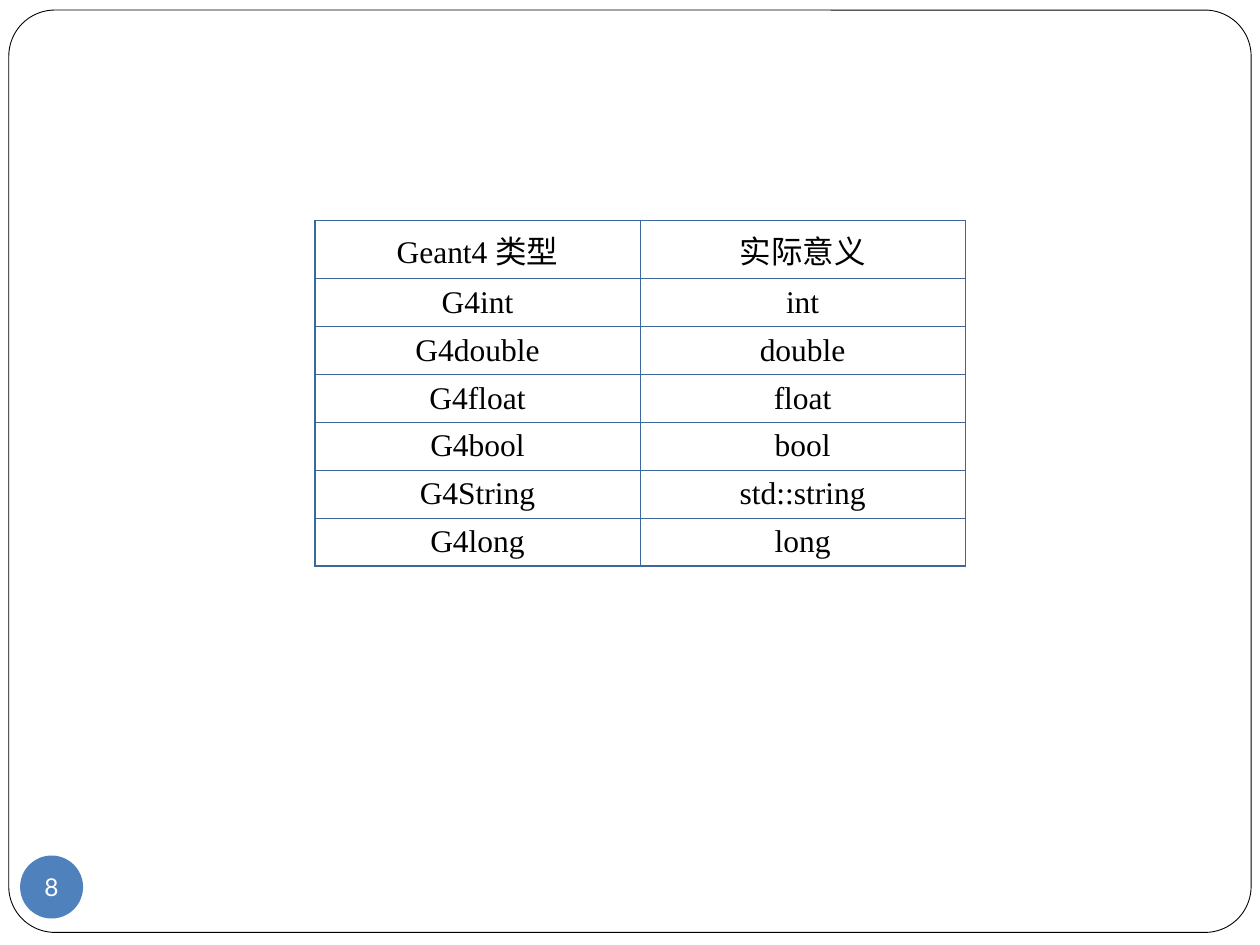
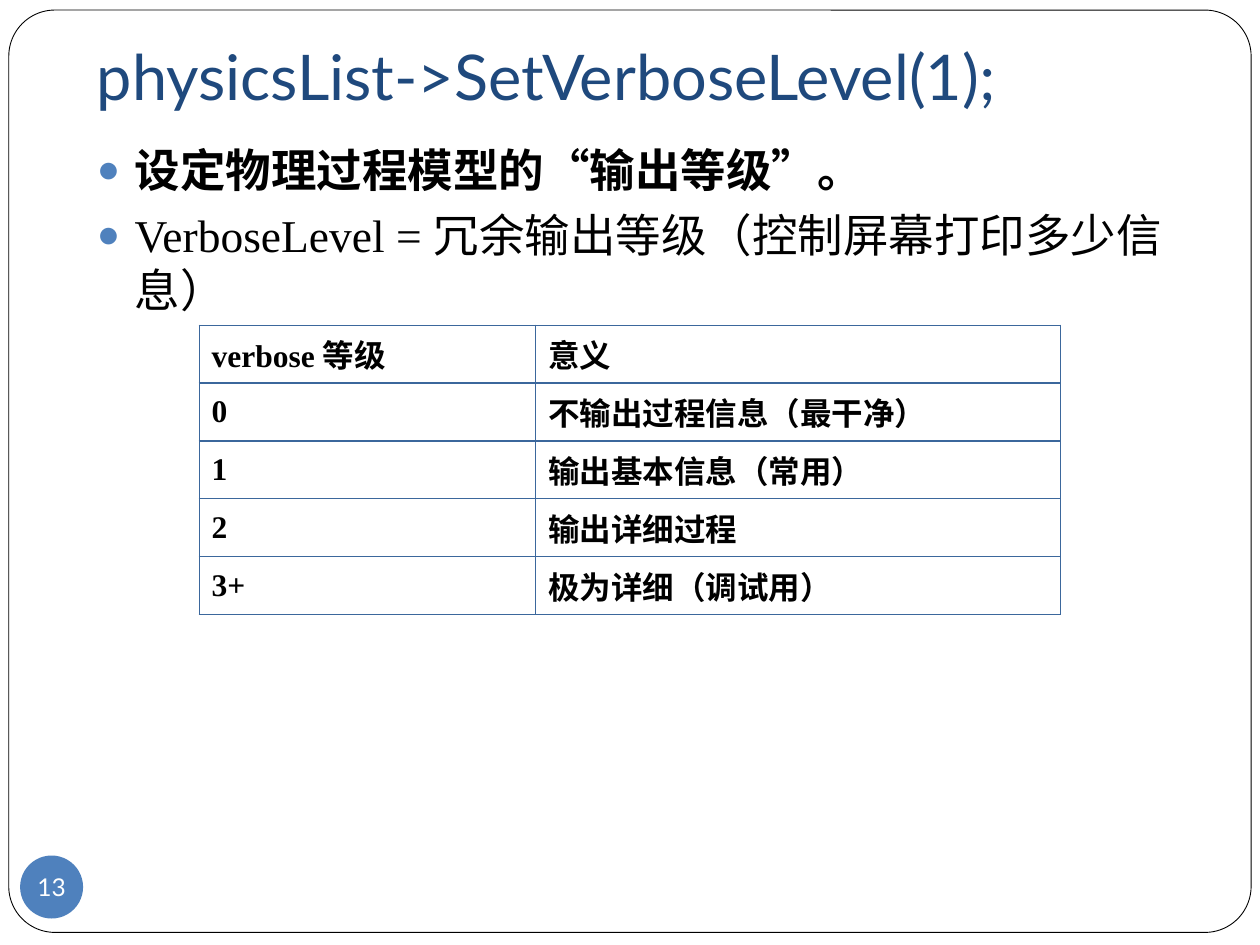
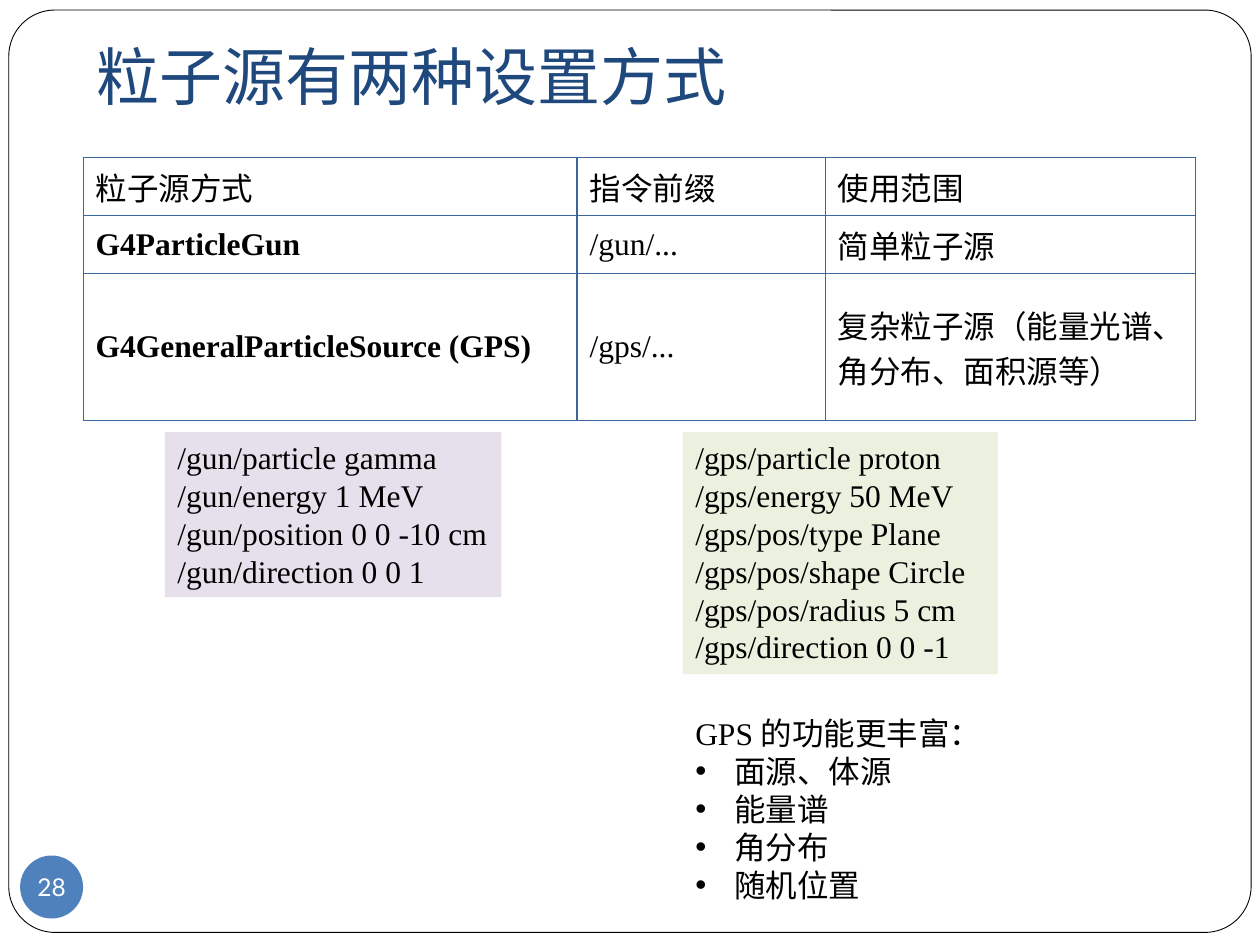
from lxml.etree import SubElement
from pptx import Presentation
from pptx.dml.color import RGBColor
from pptx.enum.shapes import MSO_SHAPE as SHAPE
from pptx.enum.text import MSO_ANCHOR as ANCHOR, PP_ALIGN as ALIGN
from pptx.oxml.ns import qn
from pptx.util import Inches, Pt

# Shared style
BLACK, WHITE = "000000", "FFFFFF"
TITLE_BLUE, ACCENT_BLUE, GRID_BLUE = "1F497D", "4F81BD", "3B679C"
LILAC, PALE_GREEN = "E6E0EC", "EBF1DE"
HEAD_FONT, TEXT_FONT = "Lato", "Times New Roman"
TEXT_SIZE = 18


def color(value):
    return RGBColor.from_string(value)


def style(para, size=TEXT_SIZE, name=TEXT_FONT, hue=BLACK, bold=False):
    font = para.font
    font.size, font.name, font.bold = Pt(size), name, bold
    font.color.rgb = color(hue)


def add_bullet(para, char, indent, hue=BLACK, percent=100):
    props = para._p.get_or_add_pPr()
    props.set("marL", str(Inches(indent)))
    props.set("indent", str(-Inches(indent)))
    tint = SubElement(props, qn("a:buClr"))
    SubElement(tint, qn("a:srgbClr"), val=hue)
    SubElement(props, qn("a:buSzPct"), val=str(percent * 1000))
    SubElement(props, qn("a:buFont"), typeface="Arial")
    SubElement(props, qn("a:buChar"), char=char)


def add_paragraphs(frame, lines):
    """Yield one paragraph for each line of text."""
    for index, line in enumerate(lines):
        para = frame.add_paragraph() if index else frame.paragraphs[0]
        para.text = line
        yield para


def add_panel(page, kind, box, fill, outline=None):
    shape = page.shapes.add_shape(kind, *map(Inches, box))
    shape.shadow.inherit = False
    shape.fill.solid()
    shape.fill.fore_color.rgb = color(fill)
    if outline:
        shape.line.color.rgb = color(outline)
        shape.line.width = Pt(0.5)
    else:
        shape.line.fill.background()
    return shape


def add_text_box(page, box):
    frame = page.shapes.add_textbox(*map(Inches, box)).text_frame
    frame.word_wrap = True
    return frame


def add_page(deck, number, title=None):
    page = deck.slides.add_slide(deck.slide_layouts[6])
    # Rounded page frame
    border = add_panel(page, SHAPE.ROUNDED_RECTANGLE, (0.07, 0.08, 9.86, 7.32), WHITE, BLACK)
    border.adjustments[0] = 0.05
    # Title
    if title:
        frame = add_text_box(page, (0.67, 0.3, 8.83, 0.7))
        frame.vertical_anchor = ANCHOR.BOTTOM
        frame.margin_bottom = Inches(0.1)
        frame.text = title
        style(frame.paragraphs[0], 36, HEAD_FONT, TITLE_BLUE)
    # Page number badge
    frame = add_panel(page, SHAPE.OVAL, (0.16, 6.79, 0.5, 0.5), ACCENT_BLUE).text_frame
    frame.margin_left = frame.margin_right = frame.margin_top = frame.margin_bottom = 0
    frame.word_wrap = False
    frame.vertical_anchor = ANCHOR.MIDDLE
    frame.text = str(number)
    frame.paragraphs[0].alignment = ALIGN.CENTER
    style(frame.paragraphs[0], 14, HEAD_FONT, WHITE)
    return page


def add_cell_borders(cell):
    props = cell._tc.get_or_add_tcPr()
    for index, side in enumerate(("a:lnL", "a:lnR", "a:lnT", "a:lnB")):
        line = props.makeelement(qn(side), {"w": str(Pt(0.75))})
        fill = SubElement(line, qn("a:solidFill"))
        SubElement(fill, qn("a:srgbClr"), val=GRID_BLUE)
        props.insert(index, line)


def add_grid(page, left, top, widths, heights, rows, align=ALIGN.LEFT,
             is_bold=lambda row, column: False):
    box = map(Inches, (left, top, sum(widths), sum(heights)))
    table = page.shapes.add_table(len(rows), len(widths), *box).table
    table.first_row = table.horz_banding = False
    for column, width in zip(table.columns, widths):
        column.width = Inches(width)
    for r, (height, texts) in enumerate(zip(heights, rows)):
        table.rows[r].height = Inches(height)
        for c, text in enumerate(texts):
            cell = table.cell(r, c)
            cell.fill.background()
            cell.vertical_anchor = ANCHOR.MIDDLE
            cell.text = text
            para = cell.text_frame.paragraphs[0]
            para.alignment = align
            style(para, bold=is_bold(r, c))
            add_cell_borders(cell)


def add_commands(page, box, fill, lines):
    frame = add_panel(page, SHAPE.RECTANGLE, box, fill).text_frame
    frame.word_wrap = True
    frame.vertical_anchor = ANCHOR.TOP
    for para in add_paragraphs(frame, lines):
        para.alignment = ALIGN.LEFT
        para.line_spacing = Pt(21.6)
        style(para)


def add_feature_list(page, box, heading, features):
    paras = add_paragraphs(add_text_box(page, box), [heading, *features])
    for index, para in enumerate(paras):
        if index:
            add_bullet(para, "•", 0.31)
        para.line_spacing = Pt(21.6)
        style(para)


def add_body(page, box, lines):
    for index, para in enumerate(add_paragraphs(add_text_box(page, box), lines)):
        add_bullet(para, "●", 0.3, ACCENT_BLUE, 85)
        para.line_spacing = Pt(31.2)
        para.space_before = Pt(5.8 if index else 0)
        style(para, 26, bold=index == 0)


def build_types(deck):
    page = add_page(deck, 8)
    names = ["int", "double", "float", "bool", "String", "long"]
    meanings = {"String": "std::string"}
    rows = [("Geant4 类型", "实际意义")]
    rows += [("G4" + name, meanings.get(name, name)) for name in names]
    add_grid(page, 2.5, 1.75, [2.58] * 2, [0.46] + [0.38] * 6, rows, ALIGN.CENTER)


def build_verbosity(deck):
    page = add_page(deck, 13, "physicsList->SetVerboseLevel(1);")
    add_body(page, (0.67, 1.08, 8.83, 5.5), [
        "设定物理过程模型的“输出等级”。",
        "VerboseLevel = 冗余输出等级（控制屏幕打印多少信息）",
    ])
    rows = [
        ("verbose 等级", "意义"),
        ("0", "不输出过程信息（最干净）"),
        ("1", "输出基本信息（常用）"),
        ("2", "输出详细过程"),
        ("3+", "极为详细（调试用）"),
    ]
    add_grid(page, 1.58, 2.58, [2.67, 4.17], [0.46] * 5, rows,
             is_bold=lambda row, column: True)


def build_sources(deck):
    page = add_page(deck, 28, "粒子源有两种设置方式")
    rows = [
        ("粒子源方式", "指令前缀", "使用范围"),
        ("G4ParticleGun", "/gun/...", "简单粒子源"),
        ("G4GeneralParticleSource (GPS)", "/gps/...", "复杂粒子源（能量光谱、角分布、面积源等）"),
    ]
    add_grid(page, 0.66, 1.25, [3.92, 1.97, 2.94], [0.46, 0.46, 1.17], rows,
             is_bold=lambda row, column: row > 0 and column == 0)
    add_commands(page, (1.31, 3.43, 2.67, 1.31), LILAC, [
        "/gun/particle gamma",
        "/gun/energy 1 MeV",
        "/gun/position 0 0 -10 cm",
        "/gun/direction 0 0 1",
    ])
    add_commands(page, (5.42, 3.43, 2.5, 1.92), PALE_GREEN, [
        "/gps/particle proton",
        "/gps/energy 50 MeV",
        "/gps/pos/type Plane",
        "/gps/pos/shape Circle",
        "/gps/pos/radius 5 cm",
        "/gps/direction 0 0 -1",
    ])
    add_feature_list(page, (5.42, 5.62, 2.33, 1.62), "GPS 的功能更丰富：",
                     ["面源、体源", "能量谱", "角分布", "随机位置"])


def main():
    deck = Presentation()
    deck.slide_width, deck.slide_height = Inches(10), Inches(7.5)
    for build in (build_types, build_verbosity, build_sources):
        build(deck)
    deck.save("out.pptx")


if __name__ == "__main__":
    main()
